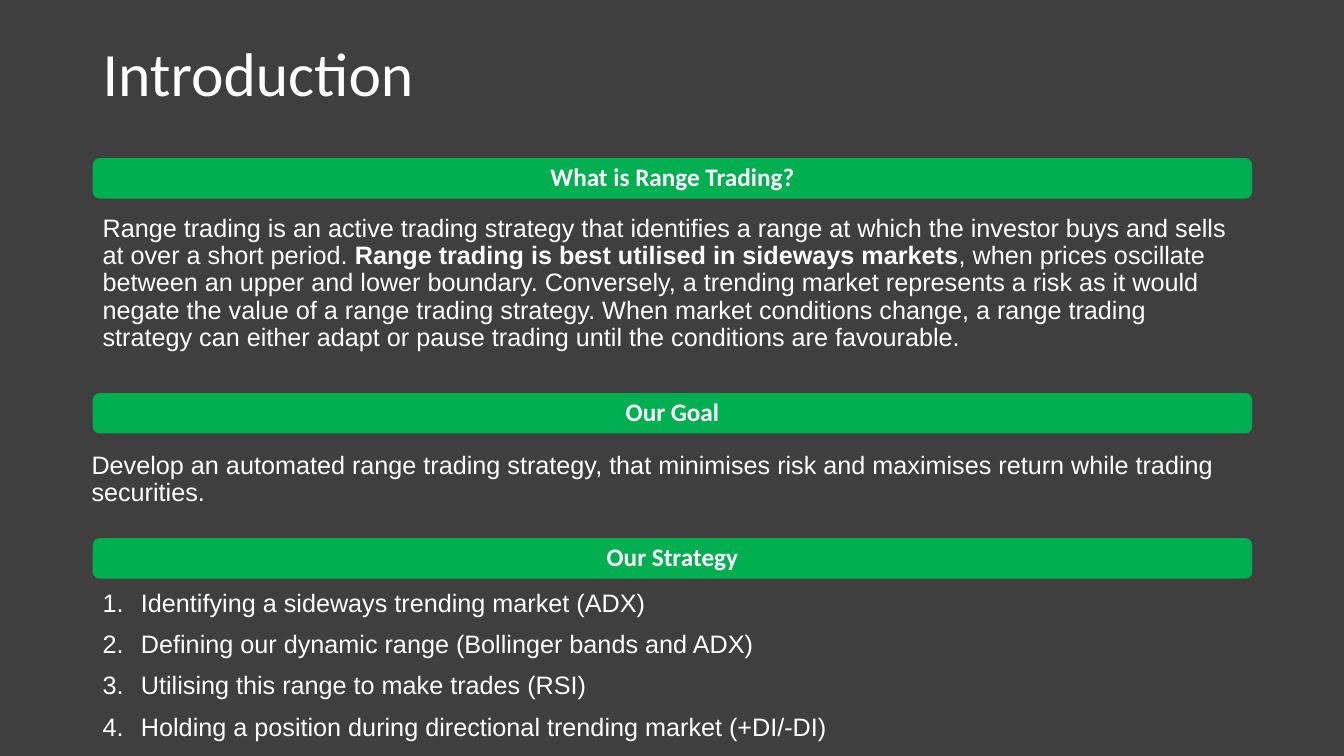
"""Build the introduction slide of a range trading presentation."""
import pptx
import pptx.dml.color
import pptx.enum.shapes
import pptx.enum.text
import pptx.util
from lxml import etree
from pptx.util import Inches

COLOURS = {"background": "3F3F3F", "bar": "00B050", "text": "FFFFFF"}
LEFT, WIDTH, BAR_HEIGHT = 0.92, 11.5, 0.4
ANCHOR = pptx.enum.text.MSO_ANCHOR
ALIGN = pptx.enum.text.PP_ALIGN

HEADINGS = [(1.57, "What is Range Trading?"), (3.9, "Our Goal"), (5.34, "Our Strategy")]
DEFINITION = [
    ("Range trading is an active trading strategy that identifies a range at which "
     "the investor buys and sells at over a short period. ", False),
    ("Range trading is best utilised in sideways markets", True),
    (", when prices oscillate between an upper and lower boundary. Conversely, a "
     "trending market represents a risk as it would negate the value of a range "
     "trading strategy. When market conditions change, a range trading strategy can "
     "either adapt or pause trading until the conditions are favourable.", False),
]
GOAL = [("Develop an automated range trading strategy, that minimises risk and "
         "maximises return while trading securities.", False)]
STRATEGY = [
    "Identifying a sideways trending market (ADX)",
    "Defining our dynamic range (Bollinger bands and ADX)",
    "Utilising this range to make trades (RSI)",
    "Holding a position during directional trending market (+DI/-DI)",
]


def colour(name):
    """Return the named colour."""
    return pptx.dml.color.RGBColor.from_string(COLOURS[name])


def apply_format(target, values):
    """Set each attribute in values on target."""
    for attribute, value in values.items():
        setattr(target, attribute, value)


def write_paragraphs(frame, paragraphs, font="Arial", size=18, align=ALIGN.LEFT, before=10):
    """Fill a text frame with paragraphs of (text, bold) runs."""
    for index, parts in enumerate(paragraphs):
        paragraph = frame.add_paragraph() if index else frame.paragraphs[0]
        apply_format(paragraph, {"alignment": align, "line_spacing": 0.9,
                                 "space_before": pptx.util.Pt(before)})
        for text, bold in parts:
            run = paragraph.add_run()
            run.text = text
            apply_format(run.font, {"name": font, "size": pptx.util.Pt(size), "bold": bold})
            run.font.color.rgb = colour("text")


def add_text(slide, top, height, paragraphs, left=LEFT, anchor=ANCHOR.TOP, **style):
    """Add a wrapped text box and return its text frame."""
    box = slide.shapes.add_textbox(Inches(left), Inches(top), Inches(WIDTH), Inches(height))
    apply_format(box.text_frame, {"word_wrap": True, "vertical_anchor": anchor})
    write_paragraphs(box.text_frame, paragraphs, **style)
    return box.text_frame


def add_heading_bar(slide, top, heading):
    """Add a rounded green bar with a centred heading."""
    bar = slide.shapes.add_shape(
        pptx.enum.shapes.MSO_SHAPE.ROUNDED_RECTANGLE,
        Inches(LEFT), Inches(top), Inches(WIDTH), Inches(BAR_HEIGHT))
    bar.shadow.inherit = False
    bar.fill.solid()
    bar.fill.fore_color.rgb = colour("bar")
    bar.line.fill.background()
    apply_format(bar.text_frame, {"word_wrap": True, "vertical_anchor": ANCHOR.TOP})
    write_paragraphs(bar.text_frame, [[(heading, True)]], font="Calibri", align=ALIGN.CENTER)


def number_paragraphs(frame, indent=0.38):
    """Number the paragraphs with a hanging indent."""
    for paragraph in frame.paragraphs:
        properties = paragraph._p.get_or_add_pPr()
        properties.set("marL", str(Inches(indent)))
        properties.set("indent", str(-Inches(indent)))
        etree.SubElement(properties, pptx.oxml.ns.qn("a:buFont"), typeface="+mj-lt")
        etree.SubElement(properties, pptx.oxml.ns.qn("a:buAutoNum"), type="arabicPeriod")


def main():
    """Compose and save the slide."""
    presentation = pptx.Presentation()
    apply_format(presentation, {"slide_width": Inches(13.33), "slide_height": Inches(7.5)})
    slide = presentation.slides.add_slide(presentation.slide_layouts[6])
    slide.background.fill.solid()
    slide.background.fill.fore_color.rgb = colour("background")

    add_text(slide, 0.03, 1.46, [[("Introduction", False)]], anchor=ANCHOR.MIDDLE,
             font="Calibri", size=44, before=0)
    for top, heading in HEADINGS:
        add_heading_bar(slide, top, heading)
    add_text(slide, 2.09, 1.11, [DEFINITION])
    add_text(slide, 4.44, 0.86, [GOAL], left=0.81)
    steps = add_text(slide, 5.81, 2.56, [[(step, False)] for step in STRATEGY])
    number_paragraphs(steps)
    presentation.save("out.pptx")


if __name__ == "__main__":
    main()
